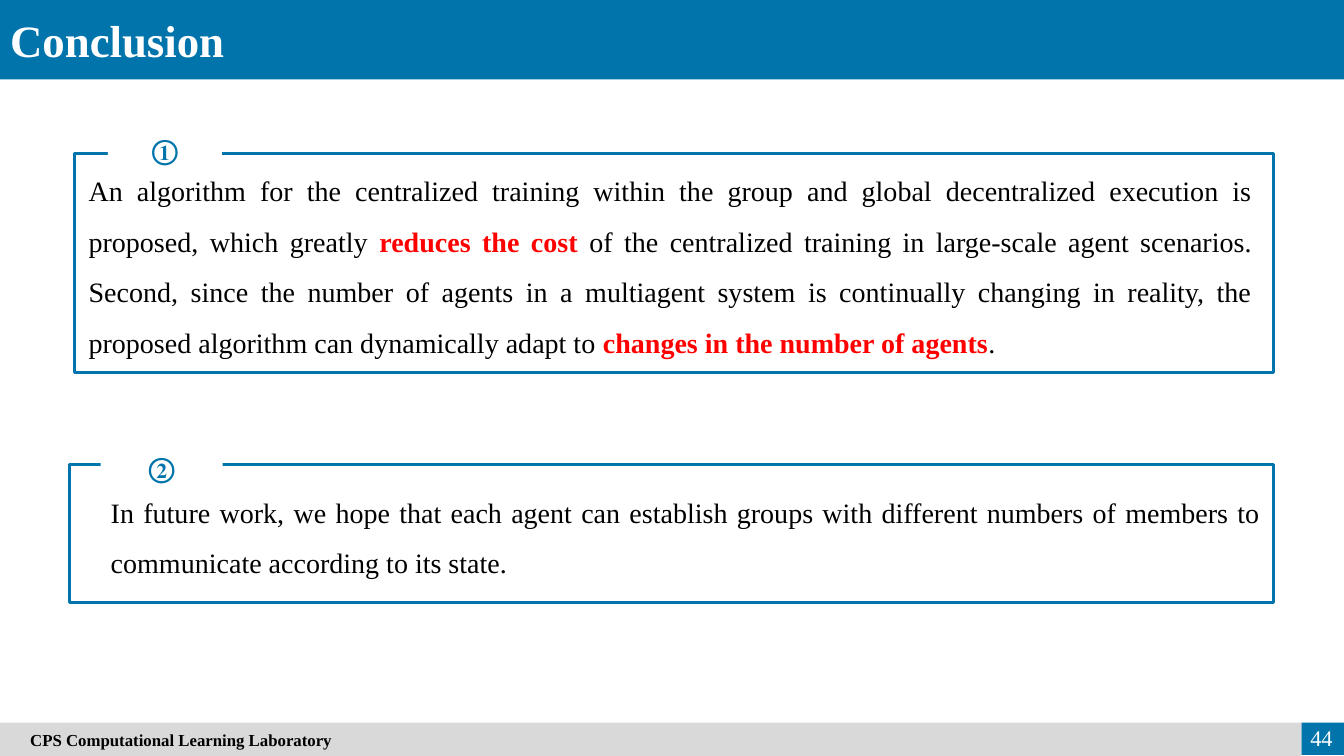
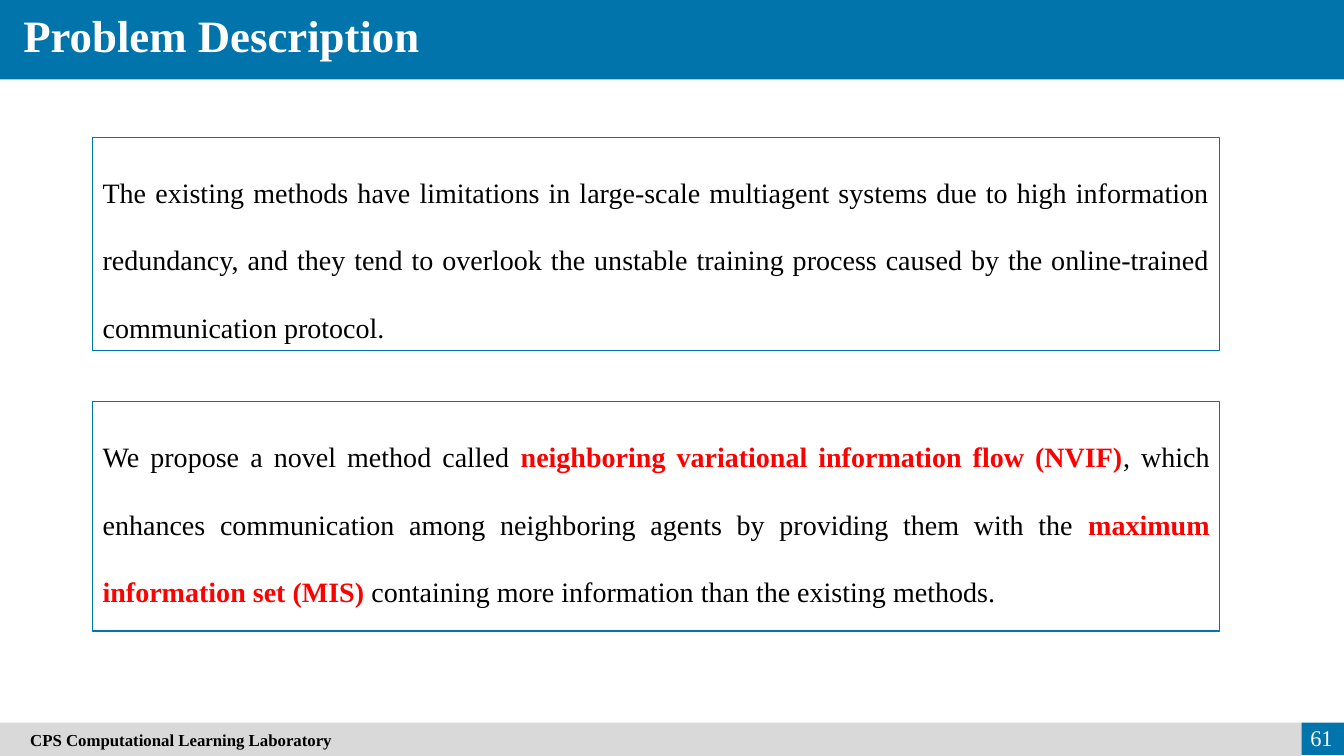
import pptx
import pptx.util
import pptx.dml.color
import pptx.enum.shapes
import pptx.enum.text

Pt = pptx.util.Pt
Align = pptx.enum.text.PP_ALIGN
Anchor = pptx.enum.text.MSO_ANCHOR

SLIDE_WIDTH = pptx.util.Inches(13.33)
SLIDE_HEIGHT = pptx.util.Inches(7.5)
BLUE, GRAY, WHITE, BLACK, RED = "0174AB", "D9D9D9", "FFFFFF", "000000", "FF0000"
FONT = "Times New Roman"
TITLE_ONLY = 5

TITLE = {"size": Pt(32), "bold": True}
LABORATORY = {"size": Pt(12), "bold": True}
PAGE = {"size": Pt(16), "bold": False}
BADGE = {"size": Pt(20), "bold": True}
BODY = {"size": Pt(20), "bold": False}
EMPHASIS = {"size": Pt(20), "bold": True}

BADGE_HEIGHT = 7.33
FOOTER_TOP = 95.6
FOOTER_SPLIT = 96.83


def rgb(color):
    return pptx.dml.color.RGBColor.from_string(color)


def across(percent):
    return round(SLIDE_WIDTH * percent / 100)


def down(percent):
    return round(SLIDE_HEIGHT * percent / 100)


def place(left, top, width, height):
    return across(left), down(top), across(width), down(height)


def set_all(target, values):
    for key, value in values.items():
        setattr(target, key, value)


def write(holder, text, style, color, align, anchor=Anchor.TOP, spacing=1.0):
    frame = holder.text_frame
    set_all(frame, {"word_wrap": True, "vertical_anchor": anchor,
                    "auto_size": pptx.enum.text.MSO_AUTO_SIZE.NONE})
    paragraph = frame.paragraphs[0]
    set_all(paragraph, {"alignment": align, "line_spacing": spacing})
    for index, part in enumerate(text.split("**")):
        emphasized = index % 2 == 1
        run = paragraph.add_run()
        run.text = part
        set_all(run.font, EMPHASIS if emphasized else style)
        run.font.name = FONT
        run.font.color.rgb = rgb(RED if emphasized else color)


def add_panel(slide, area, fill=None, outline=None):
    panel = slide.shapes.add_shape(
        pptx.enum.shapes.MSO_SHAPE.RECTANGLE, *place(*area))
    panel.shadow.inherit = False
    if fill:
        panel.fill.solid()
        panel.fill.fore_color.rgb = rgb(fill)
    else:
        panel.fill.background()
    if outline:
        panel.line.color.rgb = rgb(BLUE)
        panel.line.width = Pt(outline)
    else:
        panel.line.fill.background()
    return panel


def add_text(slide, area, *content, **options):
    write(slide.shapes.add_textbox(*place(*area)), *content, **options)


def add_footer(slide, page):
    add_panel(slide, (FOOTER_SPLIT, FOOTER_TOP, 100 - FOOTER_SPLIT, 4.27), BLUE)
    laboratory = add_panel(slide, (0, FOOTER_TOP, FOOTER_SPLIT, 4.4), GRAY)
    laboratory.text_frame.margin_left = across(2.25)
    write(laboratory, "CPS Computational Learning Laboratory",
          LABORATORY, BLACK, Align.LEFT, Anchor.MIDDLE)
    add_text(slide, (95.18, 95.07, 4.72, 5), page,
             PAGE, WHITE, Align.RIGHT, anchor=Anchor.MIDDLE)


def add_slide(deck, heading, left, top, page):
    slide = deck.slides.add_slide(deck.slide_layouts[TITLE_ONLY])
    add_panel(slide, (0, 0, 100, 10.5), BLUE)
    title = slide.shapes.title
    slide.shapes._spTree.append(title._element)
    area = place(left, top, 40.3, 8.53)
    set_all(title, dict(zip(("left", "top", "width", "height"), area)))
    write(title, heading, TITLE, WHITE, Align.JUSTIFY)
    add_footer(slide, page)
    return slide


def add_numbered_box(slide, number, box, badge, text_area, text):
    add_panel(slide, box, outline=2.25)
    left, top, width = badge
    marker = add_panel(slide, (left, top, width, BADGE_HEIGHT), WHITE)
    write(marker, number, BADGE, BLUE, Align.CENTER, Anchor.MIDDLE)
    add_text(slide, text_area, text, BODY, BLACK, Align.JUSTIFY, spacing=1.5)


def add_statement(slide, top, height, text):
    statement = add_panel(slide, (6.9, top, 83.85, height), outline=0.75)
    write(statement, text, BODY, BLACK, Align.JUSTIFY, spacing=2.0)


def add_conclusion(deck):
    slide = add_slide(deck, "Conclusion", 0, 1.07, "44")
    add_numbered_box(
        slide, "①", (5.55, 20.27, 89.2, 29.07), (8.03, 16.13, 8.48),
        (5.85, 20.13, 88.07, 28.27),
        "An algorithm for the centralized training within the group and global "
        "decentralized execution is proposed, which greatly **reduces the cost** "
        "of the centralized training in large-scale agent scenarios. Second, "
        "since the number of agents in a multiagent system is continually "
        "changing in reality, the proposed algorithm can dynamically adapt to "
        "**changes in the number of agents**.")
    add_numbered_box(
        slide, "②", (5.18, 61.47, 89.57, 18.27), (7.5, 58.13, 9.08),
        (7.5, 62.67, 87.02, 14.8),
        "In future work, we hope that each agent can establish groups with "
        "different numbers of members to communicate according to its state.")


def add_problem(deck):
    slide = add_slide(deck, "Problem Description", 0.98, 0.4, "61")
    add_statement(
        slide, 18.13, 28.27,
        "The existing methods have limitations in large-scale multiagent systems "
        "due to high information redundancy, and they tend to overlook the "
        "unstable training process caused by the online-trained communication "
        "protocol.")
    add_statement(
        slide, 53.07, 30.4,
        "We propose a novel method called **neighboring variational information "
        "flow (NVIF)**, which enhances communication among neighboring agents by "
        "providing them with the **maximum information set (MIS)** containing "
        "more information than the existing methods.")


def main():
    deck = pptx.Presentation()
    set_all(deck, {"slide_width": SLIDE_WIDTH, "slide_height": SLIDE_HEIGHT})
    add_conclusion(deck)
    add_problem(deck)
    deck.save("out.pptx")


if __name__ == "__main__":
    main()
